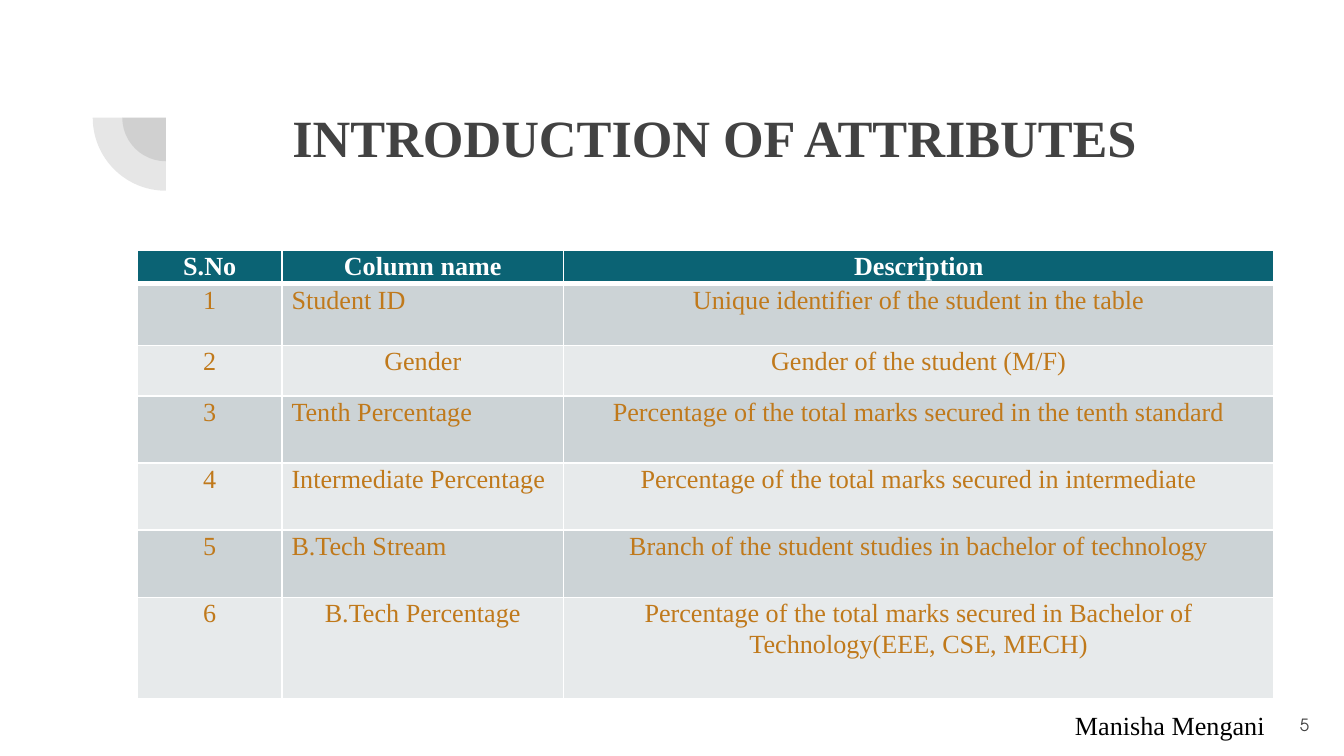
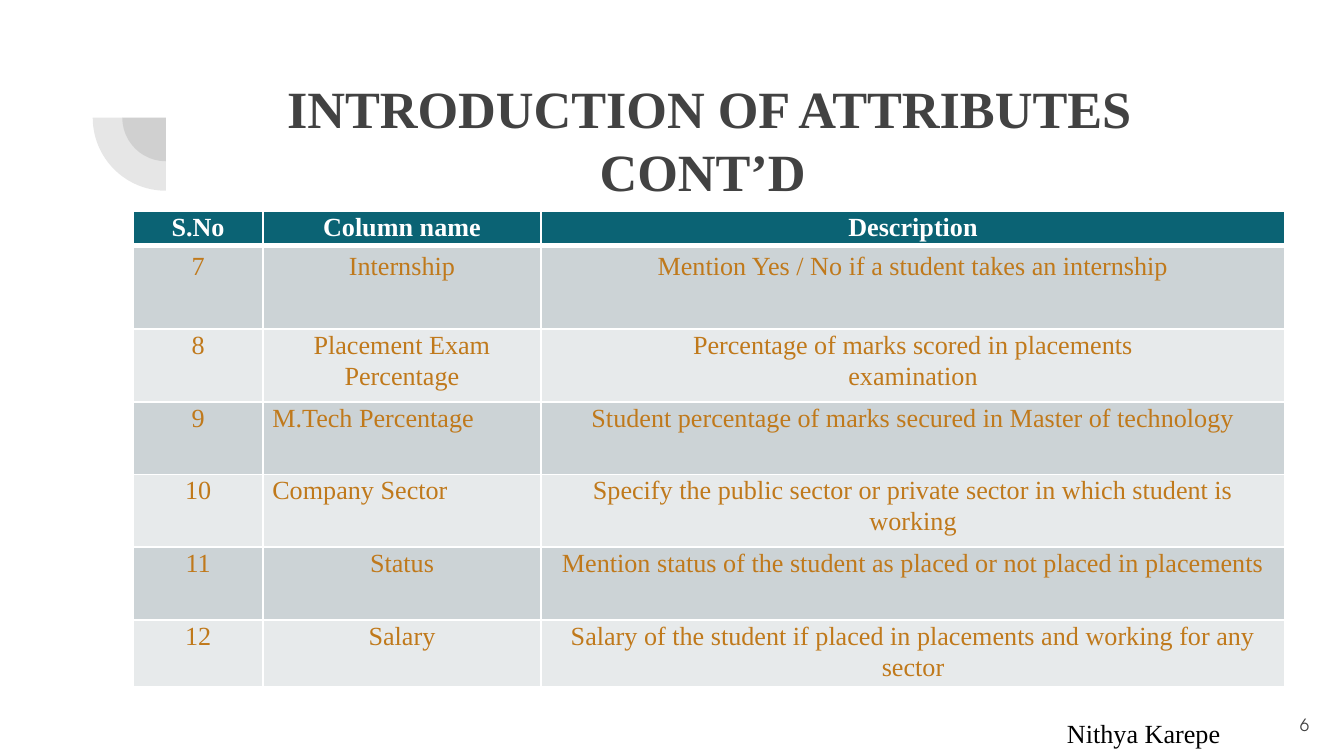
"""Build two slides that introduce the attributes of a student placement table."""
from lxml import etree
from pptx import Presentation
from pptx.dml.color import RGBColor
from pptx.enum import shapes, text
from pptx.oxml import ns
from pptx.util import Pt

CHARCOAL = RGBColor(0x42, 0x42, 0x42)
TEAL = RGBColor(0x0B, 0x63, 0x74)
OCHRE = RGBColor(0xC0, 0x79, 0x1B)
WHITE = RGBColor(0xFF, 0xFF, 0xFF)
BLACK = RGBColor(0x00, 0x00, 0x00)
BANDS = (RGBColor(0xCC, 0xD3, 0xD6), RGBColor(0xE7, 0xEA, 0xEB))
SERIF = "Times New Roman"
SANS = "TeX Gyre Adventor"
LEFT, CENTER, RIGHT = text.PP_ALIGN.LEFT, text.PP_ALIGN.CENTER, text.PP_ALIGN.RIGHT
TOP, MIDDLE = text.MSO_ANCHOR.TOP, text.MSO_ANCHOR.MIDDLE
HEADINGS = ("S.No", "Column name", "Description")
LEFT_ALIGNED = {"Student ID", "Tenth Percentage", "Intermediate Percentage",
                "B.Tech Stream", "M.Tech Percentage", "Company Sector"}

SLIDES = [
    dict(
        title="INTRODUCTION OF ATTRIBUTES ", title_box=(90, 49, 592.5, 75.6),
        table_at=(73.6, 134.1), columns=(77.6, 150.7, 380.8),
        heights=(17.3, 33, 27, 36, 36, 36, 54.5), first_number=1, roomy_rows=(),
        attributes=[
            ("Student ID", "Unique identifier of the student in the table"),
            ("Gender", "Gender of the student (M/F)"),
            ("Tenth Percentage", "Percentage of the total marks secured in the tenth standard"),
            ("Intermediate Percentage", "Percentage of the total marks secured in intermediate"),
            ("B.Tech Stream", "Branch of the student studies in bachelor of technology"),
            ("B.Tech Percentage",
             "Percentage of the total marks secured in Bachelor of Technology(EEE, CSE, MECH)"),
        ],
        author="Manisha Mengani", author_box=(568.8, 376.6, 117.4, 24.5), number=5),
    dict(
        title="INTRODUCTION OF ATTRIBUTES CONT’D ", title_box=(103, 33.8, 553.7, 78.5),
        table_at=(71.4, 113), columns=(69.5, 149, 398.6),
        heights=(18.7, 44.6, 39, 39, 39, 39, 32.4), first_number=7, roomy_rows=(1,),
        attributes=[
            ("Internship", "Mention Yes / No if a student takes an internship"),
            ("Placement Exam Percentage", "Percentage of marks scored in placements\nexamination"),
            ("M.Tech Percentage", "Student percentage of marks secured in Master of technology"),
            ("Company Sector",
             "Specify the public sector or private sector in which student is working"),
            ("Status", "Mention status of the student as placed or not placed in placements"),
            ("Salary", "Salary of the student if placed in placements and working for any sector"),
        ],
        author="Nithya Karepe", author_box=(564.5, 380.9, 97.2, 24.5), number=6),
]


def write(frame, content, size=14, font=SERIF, color=BLACK, bold=False, align=LEFT, spacing=None):
    """Fill a text frame with one paragraph for each line of the content."""
    for index, line in enumerate(content.split("\n")):
        para = frame.add_paragraph() if index else frame.paragraphs[0]
        para.alignment = align
        if spacing:
            para.line_spacing = spacing
        span = para.add_run()
        span.text = line
        span.font.size, span.font.name, span.font.bold = Pt(size), font, bold
        span.font.color.rgb = color


def add_text(page, box, content, inset=7.2, anchor=TOP, wrap=True, **style):
    """Place a text box with equal insets on all sides unless it does not wrap."""
    frame = page.shapes.add_textbox(*map(Pt, box)).text_frame
    frame.word_wrap = wrap
    frame.vertical_anchor = anchor
    frame.margin_left = frame.margin_right = Pt(7.2)
    frame.margin_top = frame.margin_bottom = Pt(inset)
    if not wrap:
        frame.auto_size = text.MSO_AUTO_SIZE.SHAPE_TO_FIT_TEXT
    write(frame, content, **style)


def add_quarters(page, center_x, center_y):
    """Draw two translucent quarter discs around one centre."""
    for radius in (23.4, 39.2):
        quarter = page.shapes.add_shape(
            shapes.MSO_SHAPE.PIE, Pt(center_x - radius), Pt(center_y - radius),
            Pt(2 * radius), Pt(2 * radius))
        quarter.adjustments[0], quarter.adjustments[1] = 108, 162
        quarter.rotation = 270
        quarter.shadow.inherit = False
        quarter.line.fill.background()
        quarter.fill.solid()
        quarter.fill.fore_color.rgb = CHARCOAL
        tint = quarter.fill._xPr.find(".//" + ns.qn("a:srgbClr"))
        etree.SubElement(tint, ns.qn("a:alpha"), val="13000")


def add_borders(cell, top=1, bottom=1):
    """Draw white borders around a table cell, before its fill is set."""
    properties = cell._tc.get_or_add_tcPr()
    for side, width in (("L", 1), ("R", 1), ("T", top), ("B", bottom)):
        line = etree.SubElement(properties, ns.qn("a:ln" + side), w=str(Pt(width)))
        fill = etree.SubElement(line, ns.qn("a:solidFill"))
        etree.SubElement(fill, ns.qn("a:srgbClr"), val=str(WHITE))


def add_attribute_table(page, at, columns, heights, first_number, attributes, roomy_rows):
    """Place the numbered attribute table with a header and banded rows."""
    rows = [HEADINGS] + [(str(number), *attribute)
                         for number, attribute in enumerate(attributes, first_number)]
    table = page.shapes.add_table(
        len(rows), len(columns), *map(Pt, (*at, sum(columns), sum(heights)))).table
    for column, width in zip(table.columns, columns):
        column.width = Pt(width)
    for index, (row, height, contents) in enumerate(zip(table.rows, heights, rows)):
        row.height = Pt(height)
        header, roomy = index == 0, index in roomy_rows
        for cell, content in zip(row.cells, contents):
            add_borders(cell, top=3 if index == 1 else 1, bottom=3 if header else 1)
            cell.fill.solid()
            cell.fill.fore_color.rgb = TEAL if header else BANDS[(index - 1) % 2]
            cell.margin_left = cell.margin_right = Pt(7.2 if roomy else 5)
            cell.margin_top = cell.margin_bottom = Pt(3.6 if roomy else 0)
            write(cell.text_frame, content, color=WHITE if header else OCHRE, bold=header,
                  align=LEFT if content in LEFT_ALIGNED else CENTER,
                  spacing=None if roomy else 1.07)


def add_footer(page, author, author_box, number):
    """Place the author name and the page number."""
    add_text(page, author_box, author, inset=3.6, wrap=False)
    add_text(page, (665.3, 373, 43.2, 31), str(number), anchor=MIDDLE,
             size=9, font=SANS, color=CHARCOAL, align=RIGHT)


def add_attribute_slide(deck, content):
    """Add one slide with title, attribute table and footer."""
    page = deck.slides.add_slide(deck.slide_layouts[6])
    add_quarters(page, 88.9, 63)
    add_text(page, content["title_box"], content["title"],
             size=28, color=CHARCOAL, bold=True, align=CENTER)
    add_attribute_table(page, content["table_at"], content["columns"], content["heights"],
                        content["first_number"], content["attributes"], content["roomy_rows"])
    add_footer(page, content["author"], content["author_box"], content["number"])


def main():
    """Build and save the deck."""
    deck = Presentation()
    deck.slide_width, deck.slide_height = Pt(720), Pt(405)
    for content in SLIDES:
        add_attribute_slide(deck, content)
    deck.save("out.pptx")


if __name__ == "__main__":
    main()
